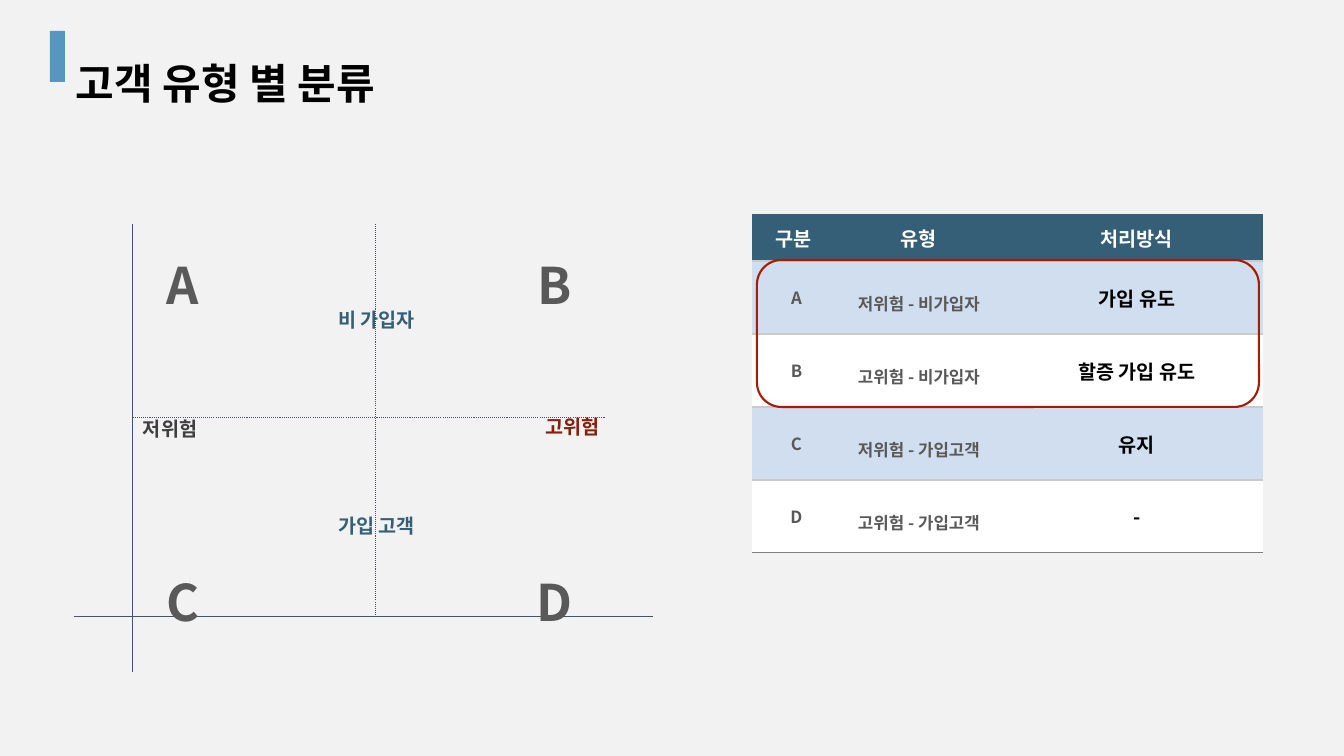
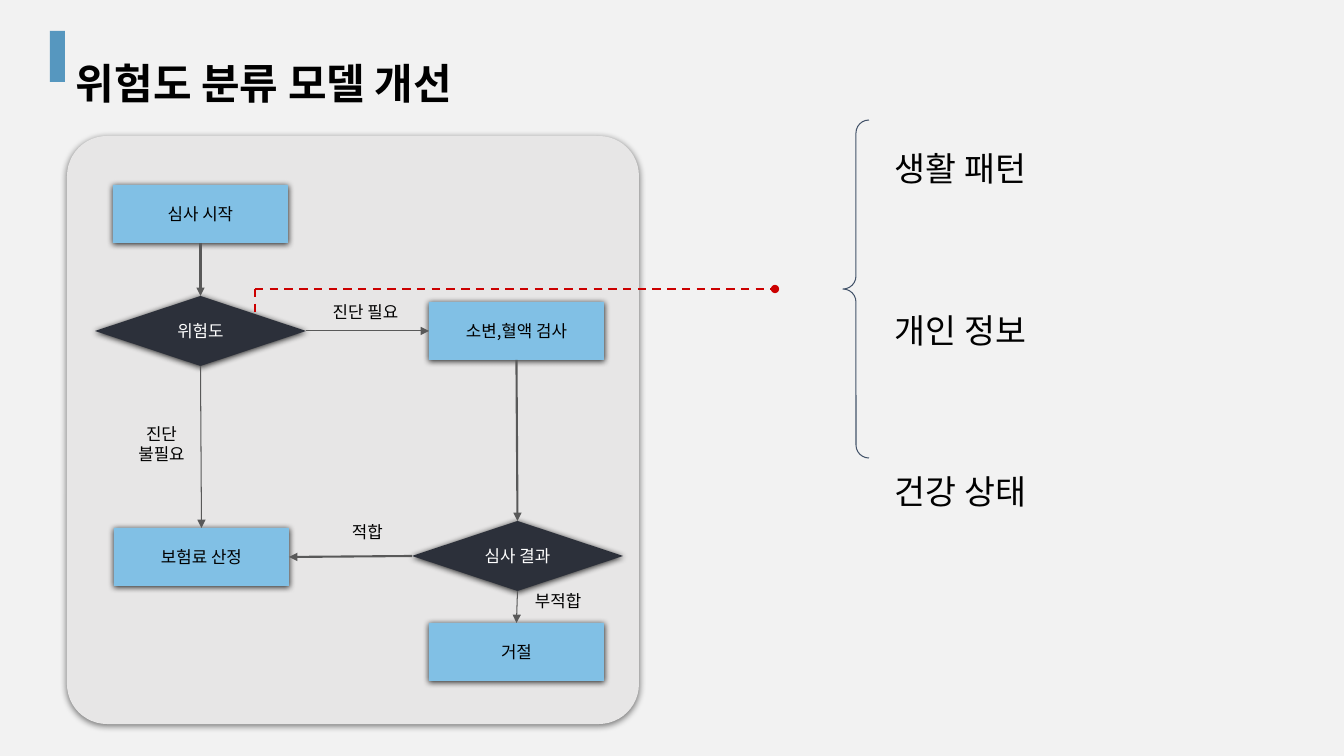
from lxml import etree
from pptx import Presentation
from pptx import util as u
from pptx.dml import color
from pptx.enum import dml, shapes, text
from pptx.oxml import ns

SCALE = 914400 / 100.8
FONT = "Noto Sans CJK KR"
COLORS = {
    "background": "F2F2F2", "accent": "5697BF", "black": "000000", "white": "FFFFFF",
    "navy": "355F77", "axis": "44546A", "gray": "595959", "charcoal": "3F3F3F",
    "brown": "85200C", "band": "D0DEEF", "rule": "CACACA", "end_rule": "7F7F7F",
    "frame": "A61C00", "panel": "E7E6E6", "step": "81C0E5", "decision": "2C303A",
    "callout": "CC0000",
}
NO_STYLE = "{2D5ABB26-0587-4C30-8999-92F81FD0307C}"
LEFT, CENTER, RIGHT = text.PP_ALIGN.LEFT, text.PP_ALIGN.CENTER, text.PP_ALIGN.RIGHT
BOX_INSETS = (10, 5, 10, 5)
TIGHT_INSETS = (0, 0, 0, 0)
NODE_INSETS = (1, 1, 1, 1)


def px(value):
    return u.Emu(round(value * SCALE))


def rgb(name):
    return color.RGBColor.from_string(COLORS[name])


def child(parent, tag, **attributes):
    return etree.SubElement(parent, ns.qn(tag), attributes)


def set_insets(target, insets):
    target.margin_left, target.margin_top, target.margin_right, target.margin_bottom = map(px, insets)


def write(paragraph, words, size, tint, bold=False, align=LEFT, spacing=None):
    paragraph.alignment = align
    if spacing:
        paragraph.line_spacing = spacing
    for index, line in enumerate(words.split("\n")):
        if index:
            paragraph.add_line_break()
        run = paragraph.add_run()
        run.text = line
        run.font.size = u.Pt(size)
        run.font.bold = bold
        run.font.color.rgb = rgb(tint)
        run.font.name = FONT
        child(run._r.get_or_add_rPr(), "a:ea", typeface=FONT)


def add_text(slide, box, words, size, tint, insets=BOX_INSETS, **style):
    frame = slide.shapes.add_textbox(*map(px, box)).text_frame
    frame.word_wrap = True
    set_insets(frame, insets)
    write(frame.paragraphs[0], words, size, tint, **style)
    return frame


def add_shape(slide, kind, box, fill=None, line=None, width=1, shadow=None):
    shape = slide.shapes.add_shape(kind, *map(px, box))
    shape.shadow.inherit = False
    if fill:
        shape.fill.solid()
        shape.fill.fore_color.rgb = rgb(fill)
    else:
        shape.fill.background()
    if line:
        shape.line.color.rgb = rgb(line)
        shape.line.width = u.Pt(width)
    else:
        shape.line.fill.background()
    if shadow:
        alpha, distance = shadow
        effects = shape._element.spPr.find(ns.qn("a:effectLst"))
        outer = child(effects, "a:outerShdw", blurRad=str(u.Pt(4.5)), dist=str(u.Pt(distance)),
                      dir="5400000", algn="ctr", rotWithShape="0")
        tint = child(outer, "a:srgbClr", val=COLORS["black"])
        child(tint, "a:alpha", val=str(alpha * 1000))
    return shape


def add_line(slide, start, end, tint, width, dash=None, tail=None):
    connector = slide.shapes.add_connector(shapes.MSO_CONNECTOR.STRAIGHT, *map(px, start + end))
    connector.line.color.rgb = rgb(tint)
    connector.line.width = u.Pt(width)
    if dash:
        connector.line.dash_style = dash
    if tail:
        child(connector.line._get_or_add_ln(), "a:tailEnd", type=tail)
    child(connector._element.spPr, "a:effectLst")
    return connector


def add_titled_slide(presentation, words):
    slide = presentation.slides.add_slide(presentation.slide_layouts[5])
    title = slide.shapes.title
    title.left, title.top, title.width, title.height = map(px, (66, 27, 700, 51))
    frame = title.text_frame
    frame.word_wrap = True
    frame.auto_size = text.MSO_AUTO_SIZE.NONE
    frame.vertical_anchor = text.MSO_ANCHOR.TOP
    set_insets(frame, BOX_INSETS)
    write(frame.paragraphs[0], words, 30, "black", bold=True, spacing=1.5)
    add_shape(slide, shapes.MSO_SHAPE.RECTANGLE, (50, 31, 15, 51), "accent")
    return slide


def add_quadrants(slide, left, top):
    dot = dml.MSO_LINE.ROUND_DOT
    for x1, y1, x2, y2, dash in [
        (59, 448, 59, 0, None), (0, 393, 579, 393, None),
        (302, 393, 302, 0, dot), (59, 194, 531, 194, dot),
    ]:
        add_line(slide, (left + x1, top + y1), (left + x2, top + y2), "axis", 0.75, dash)
    for words, x, y, width, tint, align in [
        ("가입 고객", 193, 273, 219, "navy", CENTER),
        ("비 가입자", 193, 67, 219, "navy", CENTER),
        ("저위험", 59, 176, 129, "charcoal", LEFT),
        ("고위험", 407, 174, 129, "brown", RIGHT),
    ]:
        add_text(slide, (left + x, top + y, width, 40), words, 14, tint,
                 bold=True, align=align, spacing=1.5)
    for index, letter in enumerate("ABCD"):
        row, column = divmod(index, 2)
        add_text(slide, (left + 59 + 372 * column, top - 5 + 317 * row, 100, 81), letter, 36,
                 "gray", bold=True, align=CENTER, spacing=1.5)


def set_rule(cell, tint):
    line = etree.Element(ns.qn("a:lnB"), w=str(u.Pt(1)))
    child(child(line, "a:solidFill"), "a:srgbClr", val=COLORS[tint])
    cell._tc.get_or_add_tcPr().insert(0, line)


def add_treatment_table(slide, left, top):
    rows = [
        ("구분", "유형", "처리방식"),
        ("A", "저위험 - 비가입자", "가입 유도"),
        ("B", "고위험 - 비가입자", "할증 가입 유도"),
        ("C", "저위험 - 가입고객", "유지"),
        ("D", "고위험 - 가입고객", "-"),
    ]
    widths = (75, 170, 266)
    heights = (47, 73, 73, 73, 73)
    table = slide.shapes.add_table(len(rows), len(widths), px(left), px(top),
                                   px(sum(widths)), px(sum(heights))).table
    table._tbl.tblPr.find(ns.qn("a:tableStyleId")).text = NO_STYLE
    table.horz_banding = False
    for column, width in zip(table.columns, widths):
        column.width = px(width)
    for r, (values, height) in enumerate(zip(rows, heights)):
        table.rows[r].height = px(height)
        for c, value in enumerate(values):
            cell = table.cell(r, c)
            cell.fill.solid()
            cell.fill.fore_color.rgb = rgb("navy" if r == 0 else "band" if r % 2 else "white")
            cell.vertical_anchor = text.MSO_ANCHOR.MIDDLE
            set_insets(cell, (24, 5, 10, 5))
            set_rule(cell, "end_rule" if r == len(rows) - 1 else "rule")
            size = 14 if r == 0 or c == 2 else 12
            tint = "white" if r == 0 else "black" if c == 2 else "gray"
            write(cell.text_frame.paragraphs[0], value, size, tint, bold=True,
                  align=LEFT if r == c == 0 else CENTER, spacing=1.5 if r and c == 1 else None)
    add_shape(slide, shapes.MSO_SHAPE.ROUNDED_RECTANGLE, (left + 5, top + 46, 502, 147),
              line="frame", width=1.5)


def add_node(slide, left, top, words, is_decision=False):
    if is_decision:
        kind, size, fill, tint = shapes.MSO_SHAPE.FLOWCHART_DECISION, (211, 70), "decision", "white"
    else:
        kind, size, fill, tint = shapes.MSO_SHAPE.RECTANGLE, (175, 58), "step", "black"
    shape = add_shape(slide, kind, (left, top) + size, fill, shadow=(80, 0.8))
    frame = shape.text_frame
    frame.word_wrap = True
    frame.vertical_anchor = text.MSO_ANCHOR.MIDDLE
    set_insets(frame, NODE_INSETS)
    write(frame.paragraphs[0], words, 12, tint, align=CENTER)
    return shape


def add_review_flow(slide, left, top):
    panel = add_shape(slide, shapes.MSO_SHAPE.ROUNDED_RECTANGLE, (left, top, 572, 588),
                      "panel", shadow=(50, 1.5))
    panel.adjustments[0] = 0.07
    nodes = {}
    for name, x, y, words, is_decision in [
        ("start", 46, 49, "심사 시작", False),
        ("risk", 28, 160, "위험도", True),
        ("premium", 47, 392, "보험료 산정", False),
        ("test", 362, 166, "소변,혈액 검사", False),
        ("result", 345, 385, "심사 결과", True),
        ("reject", 362, 487, "거절", False),
    ]:
        nodes[name] = add_node(slide, left + x, top + y, words, is_decision)
    for source, begin_site, target, end_site, width in [
        ("start", 2, "risk", 0, 1.5),
        ("risk", 2, "premium", 0, 0.75),
        ("risk", 3, "test", 1, 0.75),
        ("result", 1, "premium", 3, 1.5),
        ("test", 2, "result", 0, 1.5),
        ("result", 2, "reject", 0, 0.75),
    ]:
        arrow = add_line(slide, (left, top), (left, top), "gray", width, tail="triangle")
        arrow.begin_connect(nodes[source], begin_site)
        arrow.end_connect(nodes[target], end_site)
    for words, x, y, width, height, align in [
        ("적합", 285, 386, 50, 26, LEFT),
        ("부적합", 468, 455, 81, 26, LEFT),
        ("진단 필요", 239, 166, 119, 26, CENTER),
        ("진단\n불필요", 54, 288, 81, 53, CENTER),
    ]:
        add_text(slide, (left + x, top + y, width, height), words, 12, "black",
                 TIGHT_INSETS, align=align)
    corner = (left + 188, top + 153)
    for end, tail in [((left + 708, top + 153), "oval"), ((left + 188, top + 182), None)]:
        add_line(slide, corner, end, "callout", 1.5, dml.MSO_LINE.DASH, tail)


def add_risk_factors(slide, left, top):
    factors = ("생활 패턴", "개인 정보", "건강 상태")
    frame = add_text(slide, (left + 42, top - 22, 240, 382), factors[0], 24, "black",
                     (10, 10, 10, 10), spacing=2)
    for factor in factors[1:]:
        write(frame.add_paragraph(), factor, 24, "black", spacing=2)
    for paragraph in frame.paragraphs[:-1]:
        paragraph.space_after = u.Pt(57.6)
    brace = add_shape(slide, shapes.MSO_SHAPE.LEFT_BRACE, (left, top, 26, 338),
                      line="axis", width=0.75)
    brace.adjustments[0] = 0.5
    brace.adjustments[1] = 0.5


def main():
    presentation = Presentation()
    presentation.slide_width, presentation.slide_height = px(1344), px(756)
    background = presentation.slide_master.background.fill
    background.solid()
    background.fore_color.rgb = rgb("background")

    customer_slide = add_titled_slide(presentation, "고객 유형 별 분류")
    add_quadrants(customer_slide, 74, 224)
    add_treatment_table(customer_slide, 752, 214)

    model_slide = add_titled_slide(presentation, "위험도 분류 모델 개선")
    add_review_flow(model_slide, 67, 136)
    add_risk_factors(model_slide, 843, 120)

    presentation.save("out.pptx")


if __name__ == "__main__":
    main()
